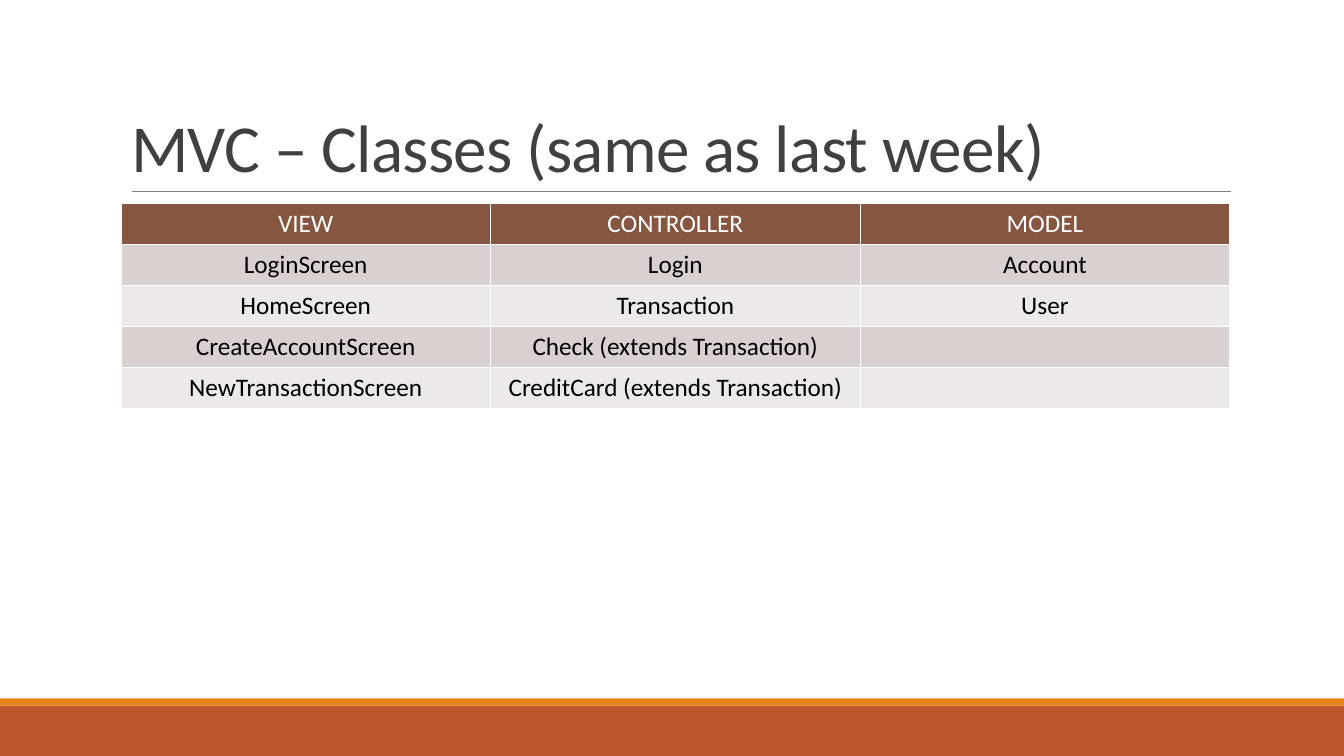
"""Build the slide that lists the MVC classes in a table."""
import dataclasses

import lxml.etree
import pptx
import pptx.dml.color
import pptx.enum.shapes
import pptx.enum.text
import pptx.oxml
import pptx.oxml.ns
import pptx.util

Pt = pptx.util.Pt
qn = pptx.oxml.ns.qn
Align = pptx.enum.text.PP_ALIGN
Anchor = pptx.enum.text.MSO_ANCHOR

TITLE = "MVC – Classes (same as last week)"
CLASSES = [
    ("VIEW", "CONTROLLER", "MODEL"),
    ("LoginScreen", "Login", "Account"),
    ("HomeScreen", "Transaction", "User"),
    ("CreateAccountScreen", "Check (extends Transaction)", ""),
    ("NewTransactionScreen", "CreditCard (extends Transaction)", ""),
]


@dataclasses.dataclass(frozen=True)
class Theme:
    font: str = "Calibri"
    title_size: float = 48
    cell_size: float = 18
    title: str = "404040"
    rule: str = "808080"
    footer: str = "BD582C"
    accent: str = "E48312"
    header: str = "865640"
    bands: tuple = ("D9D1CF", "EDE9E8")
    white: str = "FFFFFF"
    black: str = "000000"


THEME = Theme()
WIDTH, HEIGHT = 960, 540
LEFT, CONTENT_WIDTH = 86.4, 792
TITLE_TOP, TITLE_HEIGHT = 22.6, 114.2
RULE_LEFT, RULE_RIGHT, RULE_TOP = 94.3, 879, 136.8
TABLE_TOP, ROW_HEIGHT = 145.6, 29.2
FOOTER_HEIGHT, ACCENT_HEIGHT = 36, 5.04


def rgb(value):
    return pptx.dml.color.RGBColor.from_string(value)


def style_runs(paragraph, size, color):
    for run in paragraph.runs:
        run.font.name = THEME.font
        run.font.size = Pt(size)
        run.font.bold = False
        run.font.color.rgb = rgb(color)


def add_band(slide, top, height, color):
    band = slide.shapes.add_shape(
        pptx.enum.shapes.MSO_SHAPE.RECTANGLE, 0, Pt(top), Pt(WIDTH), Pt(height))
    band.shadow.inherit = False
    band.fill.solid()
    band.fill.fore_color.rgb = rgb(color)
    band.line.fill.background()


def add_rule(slide):
    rule = slide.shapes.add_connector(
        pptx.enum.shapes.MSO_CONNECTOR.STRAIGHT,
        Pt(RULE_LEFT), Pt(RULE_TOP), Pt(RULE_RIGHT), Pt(RULE_TOP))
    rule.line.color.rgb = rgb(THEME.rule)
    rule.line.width = Pt(0.5)
    lxml.etree.SubElement(rule._element.spPr, qn("a:effectLst"))


def add_title(slide):
    title = slide.shapes.title
    title.left, title.top = Pt(LEFT), Pt(TITLE_TOP)
    title.width, title.height = Pt(CONTENT_WIDTH), Pt(TITLE_HEIGHT)
    frame = title.text_frame
    frame.text = TITLE
    frame.word_wrap = True
    frame.auto_size = pptx.enum.text.MSO_AUTO_SIZE.NONE
    frame.vertical_anchor = Anchor.BOTTOM
    heading = frame.paragraphs[0]
    heading.alignment = Align.LEFT
    heading.line_spacing = 0.85
    style_runs(heading, THEME.title_size, THEME.title)
    heading.runs[0].font._element.set("spc", "-50")


def add_borders(cell):
    properties = cell._tc.get_or_add_tcPr()
    for index, side in enumerate(("lnL", "lnR", "lnT", "lnB")):
        border = lxml.etree.Element(qn(f"a:{side}"), w=str(Pt(1)))
        fill = lxml.etree.SubElement(border, qn("a:solidFill"))
        lxml.etree.SubElement(fill, qn("a:srgbClr"), val=THEME.white)
        properties.insert(index, border)


def add_class_table(slide):
    columns = len(CLASSES[0])
    table = slide.shapes.add_table(
        len(CLASSES), columns, Pt(LEFT), Pt(TABLE_TOP),
        Pt(CONTENT_WIDTH), Pt(ROW_HEIGHT * len(CLASSES))).table
    for column in table.columns:
        column.width = Pt(CONTENT_WIDTH / columns)
    for row_index, names in enumerate(CLASSES):
        table.rows[row_index].height = Pt(ROW_HEIGHT)
        is_header = row_index == 0
        fill = THEME.header if is_header else THEME.bands[(row_index - 1) % 2]
        for column_index, name in enumerate(names):
            cell = table.cell(row_index, column_index)
            cell.fill.solid()
            cell.fill.fore_color.rgb = rgb(fill)
            add_borders(cell)
            entry = cell.text_frame.paragraphs[0]
            entry.text = name
            entry.alignment = Align.CENTER
            style_runs(entry, THEME.cell_size,
                       THEME.white if is_header else THEME.black)


deck = pptx.Presentation()
deck.slide_width, deck.slide_height = Pt(WIDTH), Pt(HEIGHT)
mvc_slide = deck.slides.add_slide(deck.slide_layouts.get_by_name("Title Only"))
mvc_slide.background.fill.solid()
mvc_slide.background.fill.fore_color.rgb = rgb(THEME.white)
footer_top = HEIGHT - FOOTER_HEIGHT
add_band(mvc_slide, footer_top, FOOTER_HEIGHT, THEME.footer)
add_band(mvc_slide, footer_top - ACCENT_HEIGHT, ACCENT_HEIGHT, THEME.accent)
add_rule(mvc_slide)
add_title(mvc_slide)
add_class_table(mvc_slide)
deck.save("out.pptx")
